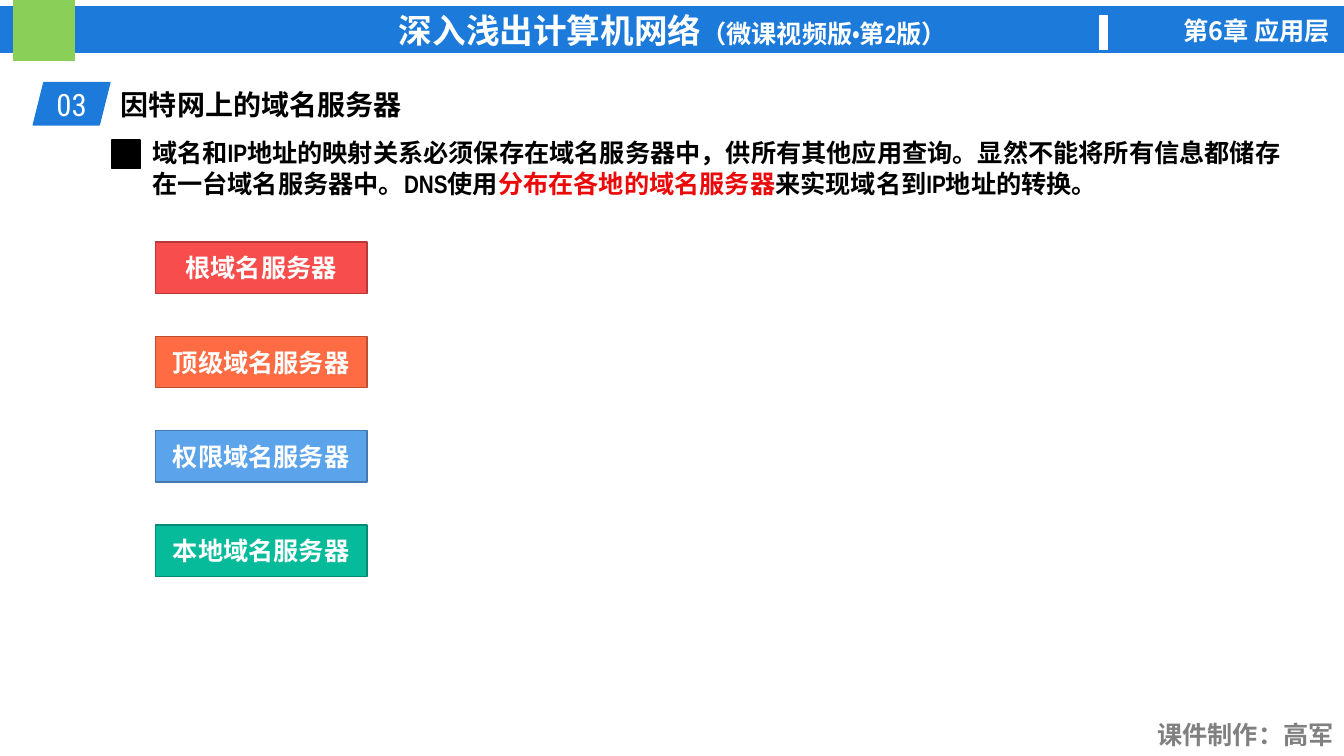
"""Build the slide that introduces the kinds of Internet domain name servers."""
from dataclasses import dataclass

import lxml.etree
import pptx
import pptx.dml.color
import pptx.enum.lang
import pptx.enum.shapes
import pptx.enum.text
import pptx.oxml.ns
import pptx.util

Pt = pptx.util.Pt
SHAPE = pptx.enum.shapes.MSO_SHAPE
ALIGN = pptx.enum.text.PP_ALIGN
COLORS = {
    "blue": "1B7ADA", "green": "8ACF57", "white": "FFFFFF", "black": "000000",
    "gray": "808080", "red": "EB0909",
    "root": "F84D4D", "root edge": "B73939",
    "top level": "FF6B42", "top level edge": "BD4F31",
    "authority": "5BA3EB", "authority edge": "4379AE",
    "local": "06BB9A", "local edge": "048A72",
}
NARROW, SANS, CONDENSED = "Arial Narrow", "Noto Sans CJK SC", "Roboto Condensed"
SERVER_TOP, SERVER_STEP = 172.8, 67.4


@dataclass(frozen=True)
class Box:
    """Position and size in points."""
    left: float
    top: float
    width: float
    height: float

    def lengths(self) -> list[pptx.util.Length]:
        """Return left, top, width and height as lengths."""
        return [Pt(v) for v in (self.left, self.top, self.width, self.height)]


@dataclass(frozen=True)
class Span:
    """A stretch of text with its size and color."""
    text: str
    size: float = 18
    color: str = "white"


@dataclass(frozen=True)
class Server:
    """A kind of domain name server and its color."""
    label: str
    color: str


SERVERS = [
    Server("根域名服务器", "root"),
    Server("顶级域名服务器", "top level"),
    Server("权限域名服务器", "authority"),
    Server("本地域名服务器", "local"),
]


def rgb(color: str) -> pptx.dml.color.RGBColor:
    """Return the named color."""
    return pptx.dml.color.RGBColor.from_string(COLORS[color])


def write(target, *spans: Span, font: str = NARROW, bold: bool = True,
          align=ALIGN.CENTER, wrap: bool = True, inset: float = 7.2,
          line_spacing: float | None = None) -> None:
    """Write one formatted paragraph into a shape."""
    frame = target.text_frame
    frame.auto_size = pptx.enum.text.MSO_AUTO_SIZE.NONE
    frame.word_wrap = wrap
    frame.vertical_anchor = pptx.enum.text.MSO_ANCHOR.MIDDLE
    frame.margin_left = frame.margin_right = Pt(inset)
    frame.margin_top = frame.margin_bottom = Pt(3.6)
    paragraph = frame.paragraphs[0]
    paragraph.alignment = align
    if line_spacing:
        paragraph.line_spacing = Pt(line_spacing)
    for span in spans:
        run = paragraph.add_run()
        run.text = span.text
        run.font.size = Pt(span.size)
        run.font.bold = bold
        run.font.name = font
        run.font.language_id = pptx.enum.lang.MSO_LANGUAGE_ID.SIMPLIFIED_CHINESE
        run.font.color.rgb = rgb(span.color)
        east_asian = lxml.etree.SubElement(
            run._r.get_or_add_rPr(), pptx.oxml.ns.qn("a:ea"))
        east_asian.set("typeface", font)


def add_block(slide, box: Box, fill: str, edge: str | None = None,
              kind=SHAPE.RECTANGLE):
    """Add a filled shape with a thin outline."""
    block = slide.shapes.add_shape(kind, *box.lengths())
    block.shadow.inherit = False
    block.fill.solid()
    block.fill.fore_color.rgb = rgb(fill)
    block.line.color.rgb = rgb(edge or fill)
    block.line.width = Pt(1)
    return block


def add_header(slide) -> None:
    """Add the course banner with the chapter name."""
    banner = add_block(slide, Box(0, 5, 961.2, 32.4), "blue")
    write(banner, Span("深入浅出计算机网络", 24), Span("（微课视频版•第2版）"))
    add_block(slide, Box(10.1, 0, 43.2, 43.2), "green")
    add_block(slide, Box(785.5, 11.5, 5.8, 23.8), "white")
    chapter = slide.shapes.add_textbox(*Box(799.9, 7.2, 157, 28.8).lengths())
    write(chapter, Span("第6章 应用层"), font=SANS, align=ALIGN.RIGHT)


def add_section(slide) -> None:
    """Add the section number, title and introduction."""
    number = add_block(slide, Box(23.8, 59, 54.7, 30.2), "blue",
                       kind=SHAPE.PARALLELOGRAM)
    write(number, Span("03", 22), font=CONDENSED, bold=False, wrap=False, inset=0)
    title = slide.shapes.title
    title.left, title.top, title.width, title.height = Box(79.2, 59, 432.7, 31.7).lengths()
    write(title, Span("因特网上的域名服务器", 20, "black"), font=SANS, align=ALIGN.LEFT)
    add_block(slide, Box(79.9, 100.1, 20.2, 20.2), "black")
    introduction = slide.shapes.add_textbox(*Box(101.5, 93.6, 834.5, 52.6).lengths())
    write(introduction,
          Span("域名和IP地址的映射关系必须保存在域名服务器中，供所有其他应用查询。"
               "显然不能将所有信息都储存在一台域名服务器中。DNS使用", color="black"),
          Span("分布在各地的域名服务器", color="red"),
          Span("来实现域名到IP地址的转换。", color="black"),
          align=ALIGN.LEFT, line_spacing=21.6)


def add_servers(slide) -> None:
    """Add the column of server kinds."""
    for row, server in enumerate(SERVERS):
        box = Box(110.9, SERVER_TOP + row * SERVER_STEP, 151.2, 36.7)
        label = add_block(slide, box, server.color, f"{server.color} edge")
        write(label, Span(server.label))


def main() -> None:
    """Build and save the presentation."""
    presentation = pptx.Presentation()
    presentation.slide_width, presentation.slide_height = Pt(960), Pt(540)
    slide = presentation.slides.add_slide(presentation.slide_layouts[5])
    add_header(slide)
    add_section(slide)
    add_servers(slide)
    author = slide.shapes.add_textbox(*Box(816.5, 510.5, 143.3, 28.8).lengths())
    write(author, Span("课件制作：高军", color="gray"), align=ALIGN.RIGHT)
    presentation.save("out.pptx")


if __name__ == "__main__":
    main()
